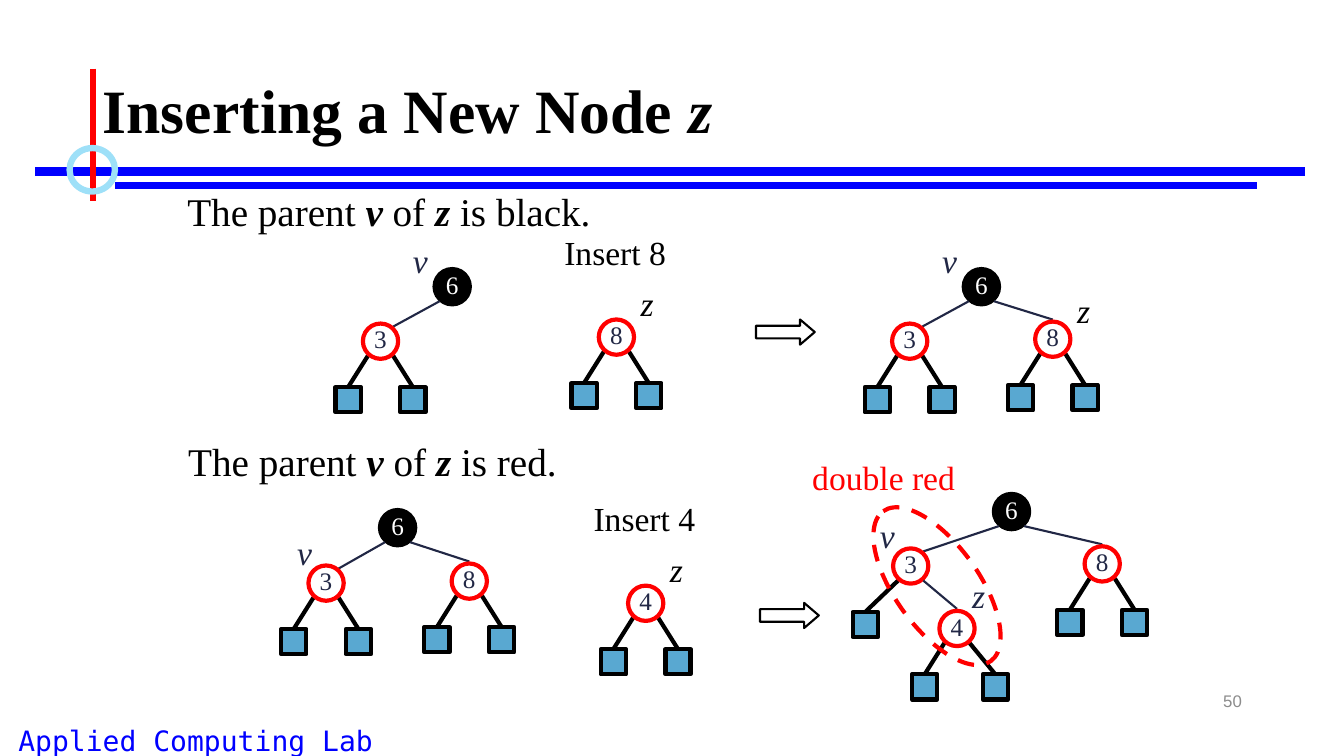
from pptx import Presentation
from pptx.dml.color import RGBColor
from pptx.enum.dml import MSO_LINE
from pptx.enum.shapes import MSO_CONNECTOR, MSO_SHAPE
from pptx.enum.text import MSO_ANCHOR, MSO_AUTO_SIZE, PP_ALIGN
from pptx.oxml.ns import qn
from pptx.util import Pt

STRAIGHT = MSO_CONNECTOR.STRAIGHT
OVAL, SQUARE, ARROW = MSO_SHAPE.OVAL, MSO_SHAPE.RECTANGLE, MSO_SHAPE.RIGHT_ARROW
LEFT, CENTER, RIGHT = PP_ALIGN.LEFT, PP_ALIGN.CENTER, PP_ALIGN.RIGHT
MIDDLE = MSO_ANCHOR.MIDDLE
NO_AUTOFIT = MSO_AUTO_SIZE.NONE
DASH = MSO_LINE.DASH

SERIF, SANS, MONO = "Times New Roman", "Arial", "DejaVu Sans Mono"
COLORS = {
    "black": "000000", "white": "FFFFFF", "red": "FF0000", "blue": "0000FF",
    "navy": "212745", "leaf": "59A8D1", "ring": "9EE0F8", "gray": "8C8C8C",
}
NODE, LEAF = 25.2, 18
EDGE_X, EDGE_Y, EDGE_TOP = 9, 10.4, 14
LEAF_DROP, LEAF_SPREAD = 41.8, 23.1


def rgb(color):
    """Return the named colour."""
    return RGBColor.from_string(COLORS[color])


def style(paragraph, size, color, align=LEFT, font=SERIF):
    """Set the font and alignment of a paragraph."""
    paragraph.alignment = align
    paragraph.font.name = font
    paragraph.font.size = Pt(size)
    paragraph.font.color.rgb = rgb(color)


def add_label(shapes, text, box, size, color, align=LEFT, font=SERIF, italic=False):
    """Add a one-line label and return its text frame."""
    frame = shapes.add_textbox(*map(Pt, box)).text_frame
    frame.word_wrap = False
    paragraph = frame.paragraphs[0]
    paragraph.text = text
    style(paragraph, size, color, align, font)
    paragraph.font.italic = italic
    return frame


def add_variable(shapes, letter, x, y, color):
    """Add an italic node name centred on x with its top at y."""
    add_label(shapes, letter, (x - 12.25, y, 24.5, 36), 24, color, CENTER, italic=True)


def add_outline(shapes, kind, box, color, width, fill=None):
    """Add a preset shape with an outline and an optional fill."""
    shape = shapes.add_shape(kind, *map(Pt, box))
    shape.shadow.inherit = False
    if fill:
        shape.fill.solid()
        shape.fill.fore_color.rgb = rgb(fill)
    else:
        shape.fill.background()
    shape.line.color.rgb = rgb(color)
    shape.line.width = Pt(width)
    return shape


def add_line(shapes, start, end, color, width):
    """Add a straight line without shadow."""
    line = shapes.add_connector(STRAIGHT, *map(Pt, (*start, *end)))
    line.line.color.rgb = rgb(color)
    line.line.width = Pt(width)
    properties = line._element.spPr
    properties.append(properties.makeelement(qn("a:effectLst"), {}))
    return line


def add_node(shapes, key, center, black=False):
    """Add a red or black tree node holding its key."""
    x, y = center
    box = (x - NODE / 2, y - NODE / 2, NODE, NODE)
    outline, fill, ink = ("black", "black", "white") if black else ("red", None, "navy")
    frame = add_outline(shapes, OVAL, box, outline, 3, fill).text_frame
    frame.margin_left = frame.margin_right = frame.margin_top = 0
    frame.margin_bottom = Pt(3.6)
    frame.vertical_anchor = MIDDLE
    frame.word_wrap = False
    frame.paragraphs[0].text = key
    style(frame.paragraphs[0], 18, ink, CENTER)


def add_red_node(shapes, key, center, leaf_offsets=(-LEAF_SPREAD, LEAF_SPREAD)):
    """Add a red node with its external leaves."""
    x, y = center
    for offset in leaf_offsets:
        side = 1 if offset > 0 else -1
        box = (x + offset - LEAF / 2, y + LEAF_DROP - LEAF / 2, LEAF, LEAF)
        leaf = add_outline(shapes, SQUARE, box, "black", 3, "leaf")
        leaf_top = (x + offset, box[1])
        edge = add_line(shapes, leaf_top, (x + side * EDGE_X, y + EDGE_Y), "black", 3)
        edge.begin_connect(leaf, 0)
    add_node(shapes, key, center)


def add_branch(shapes, parent, child):
    """Join a parent node to an inner child node."""
    to_right = child[0] > parent[0]
    side = 1 if to_right else -1
    start = (parent[0] + side * EDGE_X, parent[1] + EDGE_Y)
    end = (child[0], child[1] - EDGE_TOP) if to_right else (child[0] + EDGE_X, child[1] - EDGE_Y)
    add_line(shapes, start, end, "navy", 1.5)


def add_tree(slide, root, children, variables):
    """Add a grouped tree with a black root and return its shapes."""
    shapes = slide.shapes.add_group_shape().shapes
    add_node(shapes, "6", root, black=True)
    for key, center, *leaf_offsets in children:
        add_branch(shapes, root, center)
        add_red_node(shapes, key, center, *leaf_offsets)
    for variable in variables:
        add_variable(shapes, *variable)
    return shapes


def add_insertion(slide, key, center):
    """Add the new node z under its caption."""
    x, y = center
    shapes = slide.shapes.add_group_shape().shapes
    add_red_node(shapes, key, center)
    add_variable(shapes, "z", x + 21.9, y - 42.5, "black")
    add_label(shapes, f"Insert {key}", (x - 44.3, y - 78.5, 87.8, 36.7), 24, "black")


def add_case(slide, color, box):
    """Add the sentence naming the colour of the parent."""
    paragraph = add_label(slide.shapes, "", box, 28, "black").paragraphs[0]
    for text in ("The parent ", "v", " of ", "z", f" is {color}."):
        run = paragraph.add_run()
        run.text = text
        if text in ("v", "z"):
            run.font.bold = run.font.italic = True


def add_arrow(slide, x, y):
    """Add the block arrow leading to the result."""
    arrow = add_outline(slide.shapes, ARROW, (x, y, 42, 18), "black", 1.5)
    arrow.adjustments[0], arrow.adjustments[1] = 0.5, 0.583


def add_frame(slide):
    """Add the rules, the ring, the lab name and the page number."""
    shapes = slide.shapes
    add_label(shapes, "Applied Computing Lab", (0, 513.4, 279.4, 31), 20, "blue", CENTER, MONO)
    add_line(shapes, (25.2, 122.4), (932.4, 122.4), "blue", 6)
    add_line(shapes, (82.1, 132.5), (897.8, 132.5), "blue", 4.5)
    add_line(shapes, (66.2, 49), (66.2, 143.3), "red", 4.5)
    add_outline(shapes, OVAL, (49.7, 105.8, 32.4, 31), "ring", 4.5)
    number = add_label(shapes, "50", (678.2, 486, 216, 28.8), 12, "gray", RIGHT, SANS)
    number.word_wrap = True
    number.vertical_anchor = MIDDLE


def set_title(slide):
    """Place and format the title."""
    title = slide.shapes.title
    title.left, title.top, title.width, title.height = map(Pt, (66.2, 28.8, 828, 104.4))
    frame = title.text_frame
    frame.auto_size = NO_AUTOFIT
    frame.vertical_anchor = MIDDLE
    paragraph = frame.paragraphs[0]
    paragraph.add_run().text = "Inserting a New Node "
    variable = paragraph.add_run()
    variable.text = "z"
    variable.font.italic = True
    style(paragraph, 44, "black")
    paragraph.font.bold = True
    paragraph.line_spacing = 0.9


def main():
    """Build the slide and save it."""
    deck = Presentation()
    deck.slide_width, deck.slide_height = Pt(960), Pt(540)
    slide = deck.slides.add_slide(deck.slide_layouts[5])
    add_frame(slide)
    set_title(slide)

    add_case(slide, "black", (126.7, 130.3, 308.9, 41))
    add_tree(slide, (323, 204.8), [("3", (271.8, 243.7))], [("v", 300.2, 167.8, "navy")])
    add_insertion(slide, "8", (440.3, 240.8))
    add_arrow(slide, 540, 228.2)
    add_tree(slide, (701, 204.8), [("3", (649.8, 243.7)), ("8", (752, 242.3))],
             [("v", 678.2, 167.8, "navy"), ("z", 774, 203.8, "black")])

    add_case(slide, "red", (127.4, 308.9, 283.7, 41))
    add_tree(slide, (284, 376.9), [("3", (232.9, 416.5)), ("8", (335.2, 415.1))],
             [("v", 217.4, 376.6, "navy")])
    add_insertion(slide, "4", (461.2, 430.9))
    add_arrow(slide, 542.9, 430.6)
    red_parent, red_child = (650.5, 404.3), (683.6, 448.9)
    result = add_tree(slide, (722.5, 365.4), [("3", red_parent, (-32.4,)), ("8", (787.3, 402.8))],
                      [("v", 633.6, 364.3, "navy"), ("z", 699.1, 406.8, "navy")])
    add_branch(result, red_parent, red_child)
    add_red_node(result, "4", red_child, (-LEAF_SPREAD, 27.4))

    conflict = slide.shapes.add_group_shape().shapes
    loop = add_outline(conflict, OVAL, (603.4, 388.8, 131.8, 59.8), "red", 3)
    loop.line.dash_style = DASH
    loop.rotation = 54.4
    add_label(conflict, "double red", (573.1, 322.6, 117.4, 36.7), 24, "red")
    deck.save("out.pptx")


if __name__ == "__main__":
    main()
